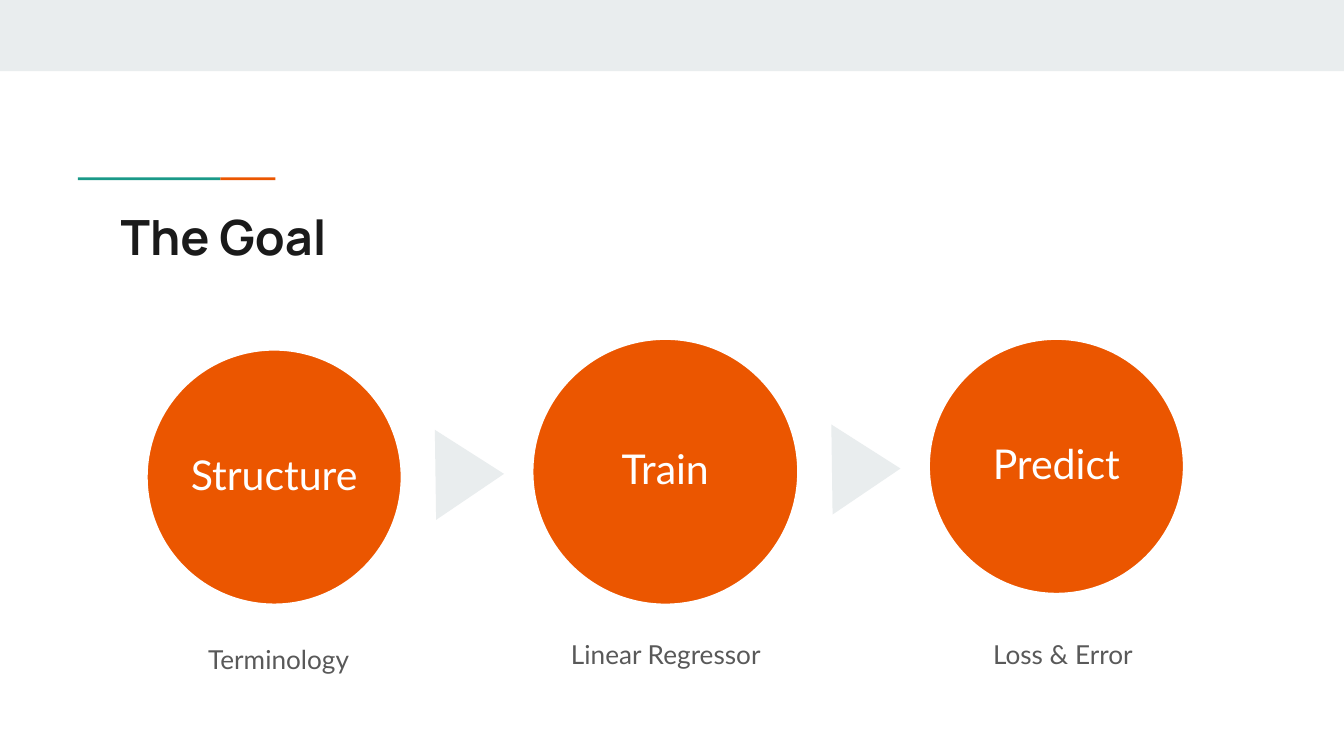
import math

import pptx
import pptx.dml.color
import pptx.enum.shapes
import pptx.enum.text
import pptx.util

Inches = pptx.util.Inches
SHAPES = pptx.enum.shapes.MSO_SHAPE
ANCHOR = pptx.enum.text.MSO_ANCHOR
ALIGN = pptx.enum.text.PP_ALIGN

# Content
COLORS = {"band": "E9EDEE", "orange": "EB5600", "green": "1A9988",
          "white": "FFFFFF", "title": "1A1A1A", "caption": "595959"}
TITLE = "The Goal"
STEPS = [("Structure", 1.91), ("Train", 1.99), ("Predict", 1.91)]  # label, diameter
# text, left, width, indent, anchor, line spacing
CAPTIONS = [("Terminology", 1.29, 1.75, 0.16, ANCHOR.TOP, 1.15),
            ("Linear Regressor", 3.9, 2.11, 0.25, ANCHOR.MIDDLE, 1.0),
            ("Loss & Error", 7.04, 1.75, 0.25, ANCHOR.MIDDLE, 1.0)]
ACCENTS = [("green", 0.58, 1.06), ("orange", 1.64, 0.41)]  # colour, left, width

# Text formats
TITLE_FONT = {"name": "Manrope", "size": pptx.util.Pt(26), "bold": True}
STEP_FONT = {"name": "Lato", "size": pptx.util.Pt(22)}
CAPTION_FONT = {"name": "Lato", "size": pptx.util.Pt(14)}

# Layout
PAGE_WIDTH = 10
PAGE_HEIGHT = PAGE_WIDTH * 9 / 16
FIRST_X, FIRST_Y = 2.04, 3.55
STEP_X, STEP_Y = 2.91, -0.04
ARROW_WIDTH, ARROW_HEIGHT = 0.67, 0.51
ARROW_OFFSET = 0.5


def rgb(color):
    return pptx.dml.color.RGBColor.from_string(COLORS[color])


def add_shape(page, kind, color, left, top, width, height, outline=None):
    shape = page.shapes.add_shape(kind, *map(Inches, (left, top, width, height)))
    shape.shadow.inherit = False
    shape.fill.solid()
    shape.fill.fore_color.rgb = rgb(color)
    if outline:
        shape.line.color.rgb = rgb(outline)
        shape.line.width = pptx.util.Pt(2)
    else:
        shape.line.fill.background()
    return shape


def add_text(page, text, bounds, font, color, margin=0.1, anchor=ANCHOR.TOP,
             align=ALIGN.LEFT, spacing=1.0):
    box = page.shapes.add_textbox(*map(Inches, bounds))
    frame = box.text_frame
    frame_format = {"word_wrap": True, "vertical_anchor": anchor}
    for side in ("left", "right", "top", "bottom"):
        frame_format[f"margin_{side}"] = Inches(margin)
    para = frame.paragraphs[0]
    span = para.add_run()
    span.text = text
    span.font.color.rgb = rgb(color)
    para_format = {"alignment": align, "line_spacing": spacing}
    for target, values in ((frame, frame_format), (para, para_format), (span.font, font)):
        for name, value in values.items():
            setattr(target, name, value)
    return para


def main():
    deck = pptx.Presentation()
    deck.slide_width, deck.slide_height = Inches(PAGE_WIDTH), Inches(PAGE_HEIGHT)
    page = deck.slides.add_slide(deck.slide_layouts[6])

    # Top band, accent line and title
    add_shape(page, SHAPES.RECTANGLE, "band", 0, 0, PAGE_WIDTH, 0.53)
    for color, left, width in ACCENTS:
        add_shape(page, SHAPES.RECTANGLE, color, left, 1.32, width, 0.02)
    add_text(page, TITLE, (0.8, 1.44, 4.78, 1.51), TITLE_FONT, "title")

    # Circles with labels, and an arrow after each but the last
    for index, (label, diameter) in enumerate(STEPS):
        x, y = FIRST_X + index * STEP_X, FIRST_Y + index * STEP_Y
        radius = diameter / 2
        add_shape(page, SHAPES.OVAL, "orange", x - radius, y - radius,
                  diameter, diameter, outline="white")
        side = diameter / math.sqrt(2)
        add_text(page, label, (x - side / 2, y - side / 2, side, side), STEP_FONT,
                 "white", 0.03, ANCHOR.MIDDLE, ALIGN.CENTER, 0.9)
        if index < len(STEPS) - 1:
            arrow = add_shape(page, SHAPES.ISOSCELES_TRIANGLE, "band",
                              x + radius + ARROW_OFFSET - ARROW_WIDTH / 2,
                              y - 0.02 - ARROW_HEIGHT / 2, ARROW_WIDTH, ARROW_HEIGHT)
            arrow.rotation = 89.2

    # Captions
    for text, left, width, indent, anchor, spacing in CAPTIONS:
        para = add_text(page, text, (left, 4.65, width, 0.44), CAPTION_FONT,
                        "caption", anchor=anchor, spacing=spacing)
        para._p.get_or_add_pPr().set("marL", str(Inches(indent)))

    deck.save("out.pptx")


if __name__ == "__main__":
    main()
